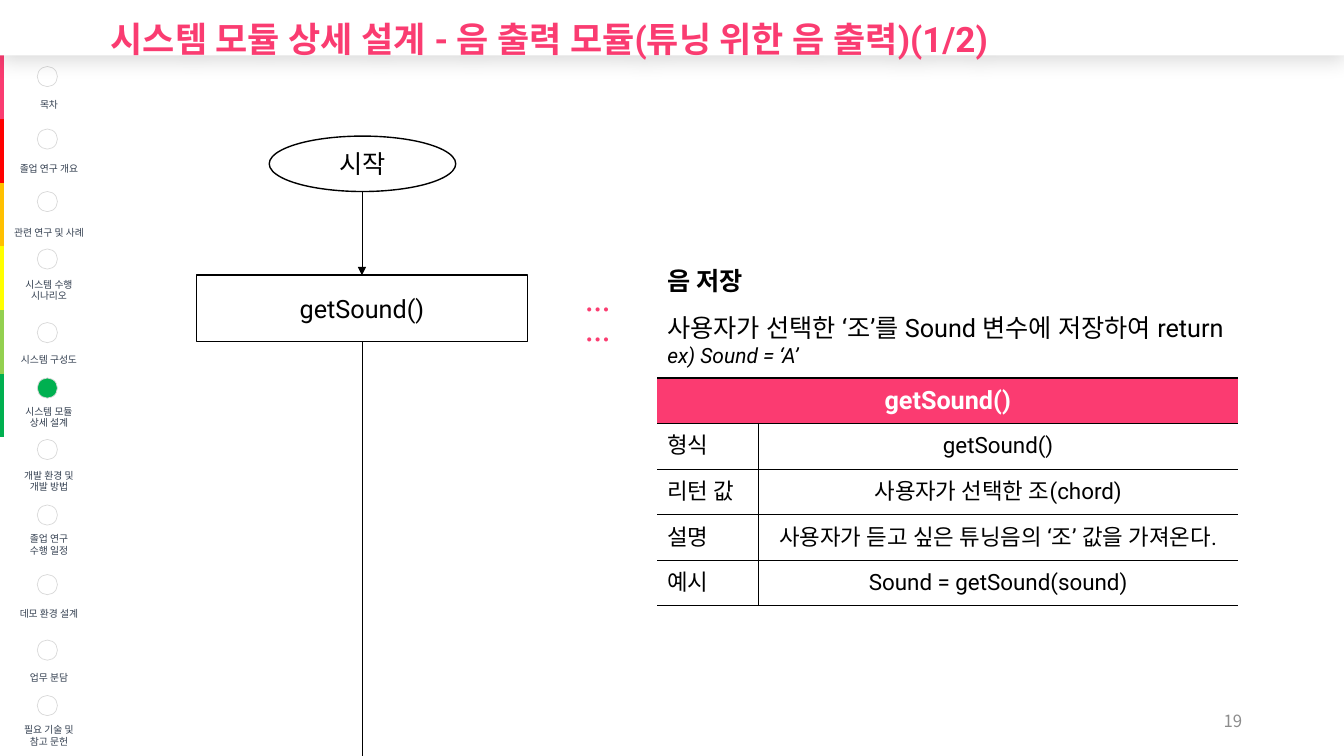
from lxml import etree
from pptx import Presentation
from pptx.dml.color import RGBColor
from pptx.enum.shapes import MSO_CONNECTOR, MSO_SHAPE
from pptx.enum.text import MSO_ANCHOR, MSO_AUTO_SIZE, PP_ALIGN
from pptx.oxml.ns import qn
from pptx.util import Inches, Pt

LEFT, CENTER, RIGHT = PP_ALIGN.LEFT, PP_ALIGN.CENTER, PP_ALIGN.RIGHT
MIDDLE, BOTTOM = MSO_ANCHOR.MIDDLE, MSO_ANCHOR.BOTTOM
OVAL, PROCESS = MSO_SHAPE.OVAL, MSO_SHAPE.FLOWCHART_PROCESS
STRAIGHT = MSO_CONNECTOR.STRAIGHT
NO_AUTOFIT = MSO_AUTO_SIZE.NONE

COLORS = {
    "white": "FFFFFF", "black": "000000", "pink": "FA3C71", "header": "FB3B71",
    "dots": "FB3D71", "red": "FF0000", "orange": "FFC000", "yellow": "FFFF00",
    "lime": "93D050", "green": "00B050", "ring": "D9D9D9", "nav": "333F50",
    "number": "8C8C8C",
}
ROBOTO, NOTO = "Roboto", "Noto Sans CJK KR"
NO_STYLE = "{2D5ABB26-0587-4C30-8999-92F81FD0307C}"

SECTIONS = [
    ("목차", "pink", 0.66),
    ("졸업 연구 개요", "red", 1.28),
    ("관련 연구 및 사례", "orange", 1.9),
    ("시스템 수행\n시나리오", "yellow", 2.47),
    ("시스템 구성도", "lime", 3.2),
    ("시스템 모듈\n상세 설계", "green", 3.75),
    ("개발 환경 및\n개발 방법", "white", 4.36),
    ("졸업 연구\n수행 일정", "white", 5.01),
    ("데모 환경 설계", "white", 5.7),
    ("업무 분담", "white", 6.35),
    ("필요 기술 및\n참고 문헌", "white", 6.9),
]
CURRENT = 5
FUNCTION_ROWS = [
    ("형식", "getSound()"),
    ("리턴 값", "사용자가 선택한 조(chord)"),
    ("설명", "사용자가 듣고 싶은 튜닝음의 ‘조’ 값을 가져온다."),
    ("예시", "Sound = getSound(sound)"),
]


def rgb(name):
    return RGBColor.from_string(COLORS[name])


def style(p, size, color="black", bold=False, italic=False, align=LEFT, font=ROBOTO):
    p.alignment = align
    f = p.font
    f.name, f.size, f.bold, f.italic = font, Pt(size), bold, italic
    f.color.rgb = rgb(color)
    etree.SubElement(f._rPr, qn("a:ea"), typeface=font)


def write(tf, text, size, **look):
    tf.text = text
    for p in tf.paragraphs:
        style(p, size, **look)


def paint(fill, color):
    fill.solid()
    fill.fore_color.rgb = rgb(color)


def add_outlined(slide, kind, box, line, width, fill="white"):
    sp = slide.shapes.add_shape(kind, *map(Inches, box))
    sp.shadow.inherit = False
    paint(sp.fill, fill)
    sp.line.color.rgb = rgb(line)
    sp.line.width = Pt(width)
    return sp


def add_textbox(slide, box):
    tf = slide.shapes.add_textbox(*map(Inches, box)).text_frame
    tf.word_wrap = True
    return tf


def add_plain_table(slide, rows, widths, box):
    table = slide.shapes.add_table(rows, len(widths), *map(Inches, box)).table
    table.first_row = table.horz_banding = False
    table._tbl.tblPr.find(qn("a:tableStyleId")).text = NO_STYLE
    for col, width in zip(table.columns, widths):
        col.width = Inches(width)
    return table


def add_line(slide, x, top, bottom):
    line = slide.shapes.add_connector(STRAIGHT, *map(Inches, (x, top, x, bottom)))
    line.line.color.rgb = rgb("black")
    line.line.width = Pt(0.5)
    etree.SubElement(line._element.spPr, qn("a:effectLst"))
    return line


def set_borders(cell, sides):
    tcPr = cell._tc.get_or_add_tcPr()
    for i, side in enumerate(sides):
        ln = etree.Element(qn(f"a:ln{side}"), w=str(Pt(1)))
        fill = etree.SubElement(ln, qn("a:solidFill"))
        etree.SubElement(fill, qn("a:srgbClr"), val=COLORS["black"])
        tcPr.insert(i, ln)


def add_navigation(slide, left, top, width, height):
    strip = 0.05
    table = add_plain_table(slide, len(SECTIONS), (strip, width - strip),
                            (left, top, width, height))
    for i, (label, color, dot_top) in enumerate(SECTIONS):
        band, cell = table.cell(i, 0), table.cell(i, 1)
        paint(band.fill, color)
        paint(cell.fill, "white")
        for c in (band, cell):
            c.margin_left = c.margin_right = c.margin_top = 0
        cell.vertical_anchor = BOTTOM
        cell.margin_bottom = Inches(0.08)
        write(cell.text_frame, label, 7, color="nav", align=CENTER)
        add_outlined(slide, OVAL, (left + 0.38, dot_top, 0.2, 0.2), "ring", 0.5,
                     "green" if i == CURRENT else "white")


def add_title_bar(slide, left, top, width, height):
    title = slide.shapes.title
    title.left, title.top, title.width, title.height = map(
        Inches, (left, top, width, height))
    paint(title.fill, "white")
    effects = etree.SubElement(title._element.spPr, qn("a:effectLst"))
    shadow = etree.SubElement(effects, qn("a:outerShdw"), blurRad=str(Pt(15)),
                              dist=str(Pt(3)), dir="5400000", rotWithShape="0")
    tint = etree.SubElement(shadow, qn("a:srgbClr"), val=COLORS["black"])
    etree.SubElement(tint, qn("a:alpha"), val="15000")
    slide.shapes._spTree.append(title._element)
    tf = title.text_frame
    tf.auto_size = NO_AUTOFIT
    tf.vertical_anchor = MIDDLE
    tf.margin_left = Inches(1.1)
    write(tf, "시스템 모듈 상세 설계 - 음 출력 모듈(튜닝 위한 음 출력)(1/2)", 25,
          color="pink", bold=True)
    tf.paragraphs[0].line_spacing = 1.5


def add_flowchart(slide, left, top, width, height):
    center = left + width / 2
    start_height, step_top, step_height = 0.55, top + 1.38, 0.66
    start = add_outlined(slide, OVAL, (center - 0.92, top, 1.85, start_height),
                         "black", 1)
    step = add_outlined(slide, PROCESS, (left, step_top, width, step_height),
                        "black", 1)
    for sp, text in ((start, "시작"), (step, "getSound()")):
        sp.text_frame.vertical_anchor = MIDDLE
        write(sp.text_frame, text, 18, align=CENTER)
    arrow = add_line(slide, center, top + start_height, step_top)
    arrow.end_connect(step, 0)
    etree.SubElement(arrow.line._get_or_add_ln(), qn("a:tailEnd"), type="triangle")
    exit_line = add_line(slide, center, step_top + step_height, top + height)
    exit_line.begin_connect(step, 2)


def add_description(slide, left, top, width, height):
    write(add_textbox(slide, (left - 0.81, top + 0.29, 0.65, 0.4)), "……", 18,
          color="dots", bold=True, font=NOTO)
    tf = add_textbox(slide, (left, top, width, height))
    tf.text = "음 저장\n사용자가 선택한 ‘조’를 Sound 변수에 저장하여 return\nex) Sound = ‘A’"
    heading, body, example = tf.paragraphs
    style(heading, 18, bold=True)
    style(body, 18)
    body.space_before = Pt(12)
    style(example, 15, italic=True)


def add_function_table(slide, left, top, width, height):
    table = add_plain_table(slide, len(FUNCTION_ROWS) + 1, (1, width - 1),
                            (left, top, width, height))
    header = table.cell(0, 0)
    header.merge(table.cell(0, 1))
    paint(header.fill, "header")
    header.vertical_anchor = MIDDLE
    write(header.text_frame, "getSound()", 18, color="white", bold=True, align=CENTER)
    set_borders(header, "TB")
    for i, row in enumerate(FUNCTION_ROWS, 1):
        for j, (text, align, sides) in enumerate(zip(row, (LEFT, CENTER), ("RTB", "LTB"))):
            cell = table.cell(i, j)
            cell.fill.background()
            cell.vertical_anchor = MIDDLE
            write(cell.text_frame, text, 16, align=align)
            set_borders(cell, sides)


def add_page_number(slide, left, top, width, height):
    tf = add_textbox(slide, (left, top, width, height))
    tf.vertical_anchor = MIDDLE
    write(tf, "19", 12, color="number", align=RIGHT, font=NOTO)


def main():
    prs = Presentation()
    prs.slide_width, prs.slide_height = Inches(13.33), Inches(7.5)
    slide = prs.slides.add_slide(prs.slide_layouts[5])
    add_page_number(slide, 9.42, 6.95, 3, 0.4)
    add_navigation(slide, -0.01, 0.55, 0.94, 6.95)
    add_title_bar(slide, 0, 0, 13.33, 0.55)
    add_flowchart(slide, 1.95, 1.35, 3.28, 6.15)
    add_description(slide, 6.52, 2.58, 6.44, 1.13)
    add_function_table(slide, 6.52, 3.75, 5.76, 2.26)
    prs.save("out.pptx")


if __name__ == "__main__":
    main()
